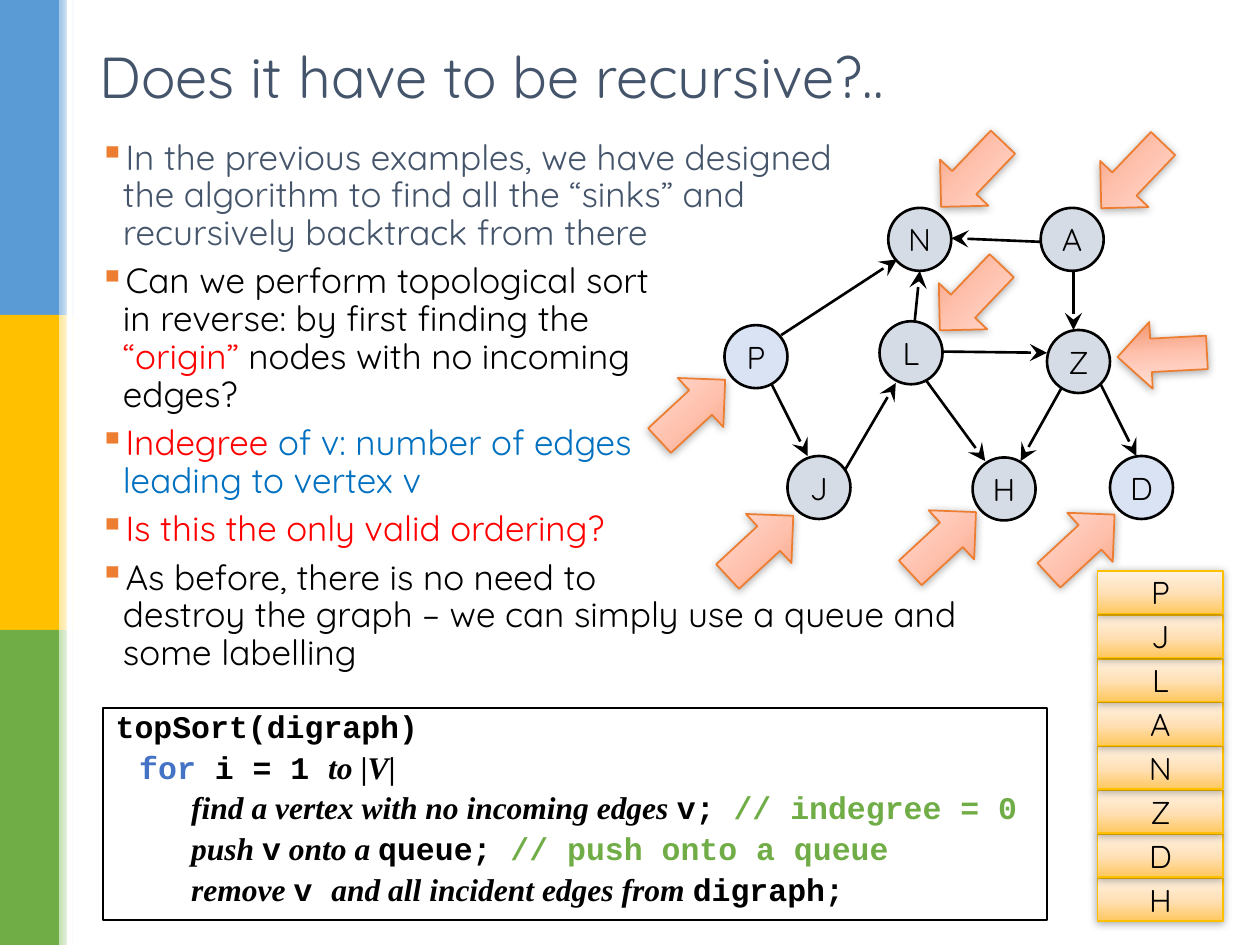
from dataclasses import dataclass

from lxml.etree import SubElement
from pptx import Presentation
from pptx.dml.color import RGBColor
from pptx.enum.shapes import MSO_CONNECTOR, MSO_SHAPE
from pptx.enum.text import MSO_ANCHOR, PP_ALIGN
from pptx.oxml import parse_xml
from pptx.oxml.ns import nsdecls, qn
from pptx.util import Pt

BODY_FONT = "Quicksand"
CODE_FONT = "Courier New"
PROSE_FONT = "Times New Roman"
BLACK, RED, BLUE, GREEN, SLATE = "000000", "FF0000", "0070C0", "70AD47", "44546A"
ORANGE, GOLD = "ED7D31", "FFC000"
PEACH_STOPS = [(0, "EF9166"), (48, "FFC2AF"), (100, "FFE6DF")]
AMBER_STOPS = [(0, "FFC75E"), (48, "FFE0B6"), (100, "FFF2E2")]


@dataclass
class Span:
    text: str
    color: str = BLACK
    font: str = BODY_FONT
    size: float = 20
    bold: bool = False
    italic: bool = False


@dataclass
class Node:
    letter: str
    left: float
    top: float
    fill: str = "D6DCE5"


@dataclass
class Edge:
    x1: float
    y1: float
    x2: float
    y2: float


@dataclass
class Pointer:
    left: float
    top: float
    angle: float


def rgb(color: str) -> RGBColor:
    return RGBColor.from_string(color)


def code(text: str, color: str = BLACK) -> Span:
    return Span(text, color, CODE_FONT, 18, True)


def prose(text: str, italic: bool = True) -> Span:
    return Span(text, BLACK, PROSE_FONT, 18, True, italic)


def add_spans(paragraph, spans: list[Span]) -> None:
    for span in spans:
        for index, line in enumerate(span.text.split("\n")):
            if index:
                paragraph.add_line_break()
            if not line:
                continue
            run = paragraph.add_run()
            run.text = line
            run.font.name = span.font
            run.font.size = Pt(span.size)
            run.font.bold = span.bold
            run.font.italic = span.italic
            run.font.color.rgb = rgb(span.color)


def add_paragraphs(frame, paragraphs: list[list[Span]], spacing: float, bullet: str = "") -> None:
    for index, spans in enumerate(paragraphs):
        paragraph = frame.add_paragraph() if index else frame.paragraphs[0]
        paragraph.alignment = PP_ALIGN.LEFT
        paragraph.line_spacing = spacing
        paragraph.space_before = Pt(6 if index else 0)
        properties = paragraph._p.get_or_add_pPr()
        properties.set("marL", str(Pt(13.5)))
        properties.set("indent", str(Pt(-13.5)))
        if bullet:
            bullet_color = SubElement(properties, qn("a:buClr"))
            SubElement(bullet_color, qn("a:srgbClr"), val=ORANGE)
            SubElement(properties, qn("a:buChar"), char=bullet)
        add_spans(paragraph, spans)


def add_block(slide, kind, left: float, top: float, width: float, height: float,
              fill: str = "", line: str = "", weight: float = 1):
    block = slide.shapes.add_shape(kind, Pt(left), Pt(top), Pt(width), Pt(height))
    block.shadow.inherit = False
    if fill:
        block.fill.solid()
        block.fill.fore_color.rgb = rgb(fill)
    else:
        block.fill.background()
    if line:
        block.line.color.rgb = rgb(line)
        block.line.width = Pt(weight)
    else:
        block.line.fill.background()
    return block


def set_gradient(block, stops: list[tuple[int, str]], angle: int) -> None:
    stop_xml = "".join(
        f'<a:gs pos="{position * 1000}"><a:srgbClr val="{color}"/></a:gs>'
        for position, color in stops)
    gradient = parse_xml(
        f'<a:gradFill {nsdecls("a")} rotWithShape="1"><a:gsLst>{stop_xml}</a:gsLst>'
        f'<a:lin ang="{angle * 60000}" scaled="0"/></a:gradFill>')
    properties = block._element.spPr
    plain = properties.find(qn("a:noFill"))
    properties.replace(plain, gradient)


def add_soft_shadow(block) -> None:
    effects = block._element.spPr.find(qn("a:effectLst"))
    shadow = SubElement(effects, qn("a:outerShdw"), blurRad=str(Pt(5)), dist=str(Pt(1)),
                        dir="5400000", algn="ctr", rotWithShape="0")
    color = SubElement(shadow, qn("a:srgbClr"), val=BLACK)
    SubElement(color, qn("a:alpha"), val="32000")


def add_label(block, letter: str, wrap: bool) -> None:
    frame = block.text_frame
    frame.word_wrap = wrap
    frame.vertical_anchor = MSO_ANCHOR.MIDDLE
    frame.paragraphs[0].alignment = PP_ALIGN.CENTER
    add_spans(frame.paragraphs[0], [Span(letter, size=18)])


def add_node(slide, node: Node) -> None:
    circle = add_block(slide, MSO_SHAPE.OVAL, node.left, node.top, 36, 36, node.fill, BLACK, 1.5)
    add_label(circle, node.letter, False)


def add_edge(slide, edge: Edge) -> None:
    arrow = slide.shapes.add_connector(
        MSO_CONNECTOR.STRAIGHT, Pt(edge.x1), Pt(edge.y1), Pt(edge.x2), Pt(edge.y2))
    arrow.line.color.rgb = rgb(BLACK)
    arrow.line.width = Pt(1.5)
    SubElement(arrow.line._get_or_add_ln(), qn("a:tailEnd"), type="stealth", w="lg", len="lg")
    SubElement(arrow._element.spPr, qn("a:effectLst"))


def add_pointer(slide, pointer: Pointer) -> None:
    arrow = add_block(slide, MSO_SHAPE.RIGHT_ARROW, pointer.left, pointer.top, 51.1, 38.2, line=ORANGE)
    arrow.rotation = pointer.angle
    set_gradient(arrow, PEACH_STOPS, 270)
    add_soft_shadow(arrow)


def add_queue_cell(slide, index: int, letter: str) -> None:
    cell = add_block(slide, MSO_SHAPE.RECTANGLE, 627.1, 326.2 + 25.1 * index, 72, 24.5, line=GOLD)
    set_gradient(cell, AMBER_STOPS, 270)
    add_soft_shadow(cell)
    add_label(cell, letter, True)


def add_text(slide, left: float, top: float, width: float, height: float):
    frame = slide.shapes.add_textbox(Pt(left), Pt(top), Pt(width), Pt(height)).text_frame
    frame.word_wrap = True
    return frame


BANDS = [("5B9BD5", "9DC3E6"), (GOLD, "FFE699"), (GREEN, "C5E0B4")]
BULLETS = [
    [Span("In the previous examples, we have designed\nthe algorithm to find all the “sinks” and\n"
          "recursively backtrack from there", SLATE)],
    [Span("Can we perform topological sort\nin reverse: by first finding the\n"),
     Span("“origin”", RED), Span(" nodes with no incoming\nedges?")],
    [Span("Indegree ", RED), Span("of v: number of edges \nleading to vertex v", BLUE)],
    [Span("Is this the only valid ordering?", RED)],
    [Span("As before, there is no need to\ndestroy the graph – we can simply use a queue and\n"
          "some labelling")],
]
ALGORITHM = [
    [code("topSort(digraph)")],
    [code("\tfor ", "4472C4"), code("i = 1 "), prose("to"), prose(" |", False), prose("V"),
     prose("|", False)],
    [code("    "), prose("find a vertex with no incoming edges "), code("v; "),
     code("// indegree = 0", GREEN)],
    [code("    "), prose("push "), code("v"), prose(" onto a "), code("queue;"),
     code(" // push onto a queue", GREEN)],
    [code("    "), prose("remove "), code("v "), prose("and all incident edges from "),
     code("digraph;")],
]
NODES = [
    Node("P", 414, 185.8, "DAE3F3"), Node("J", 450, 260.6), Node("N", 507.6, 118.8),
    Node("Z", 598.3, 188.6), Node("H", 555.8, 261.4), Node("D", 634.3, 260.6, "DAE3F3"),
    Node("L", 502.6, 183.6), Node("A", 594.7, 118.8),
]
EDGES = [
    Edge(446.4, 191.5, 512.6, 148.3), Edge(538.6, 200.9, 598.3, 201.6),
    Edge(607, 221, 583.2, 263.5), Edge(440.6, 218.9, 461.5, 260.6),
    Edge(628.6, 218.9, 649.4, 260.6), Edge(522.7, 183.6, 525.6, 154.8),
    Edge(482.4, 269.3, 511.9, 218.9), Edge(529.2, 217.4, 563, 263.5),
    Edge(613.4, 154.8, 613.4, 188.6), Edge(594.7, 138.2, 543.6, 136.1),
]
POINTERS = [
    Pointer(513.4, 290.9, 317.2), Pointer(592.6, 292.3, 317.2), Pointer(638.6, 183.6, 177),
    Pointer(529.9, 80.6, 133.7), Pointer(621.4, 81.4, 133.7), Pointer(529.2, 151.2, 133.7),
    Pointer(409, 293, 317.2), Pointer(370.1, 215.3, 317.2),
]


def main() -> None:
    deck = Presentation()
    deck.slide_width, deck.slide_height = Pt(720), Pt(540)
    slide = deck.slides.add_slide(deck.slide_layouts[6])
    for index, (band, glow) in enumerate(BANDS):
        add_block(slide, MSO_SHAPE.RECTANGLE, 0, 180 * index, 34, 180, band)
        fade = add_block(slide, MSO_SHAPE.RECTANGLE, 34, 180 * index, 8.5, 180)
        set_gradient(fade, [(0, glow), (100, "FFFFFF")], 0)
    add_block(slide, MSO_SHAPE.RECTANGLE, 38.2, 0, 2.9, 540, "FFFFFF")
    title = add_text(slide, 49.7, 18.7, 620.6, 49)
    title.vertical_anchor = MSO_ANCHOR.MIDDLE
    add_spans(title.paragraphs[0], [Span("Does it have to be recursive?..", SLATE, size=33)])
    add_paragraphs(add_text(slide, 49.7, 76.3, 642.2, 455), BULLETS, 0.9, "▪")
    for edge in EDGES:
        add_edge(slide, edge)
    for node in NODES:
        add_node(slide, node)
    listing = add_block(slide, MSO_SHAPE.RECTANGLE, 59, 404.6, 539.3, 121, line=BLACK).text_frame
    listing.word_wrap = True
    listing.vertical_anchor = MSO_ANCHOR.TOP
    add_paragraphs(listing, ALGORITHM, 0.8)
    for pointer in POINTERS:
        add_pointer(slide, pointer)
    for index, letter in reversed(list(enumerate("PJLANZDH"))):
        add_queue_cell(slide, index, letter)
    deck.save("out.pptx")


if __name__ == "__main__":
    main()
